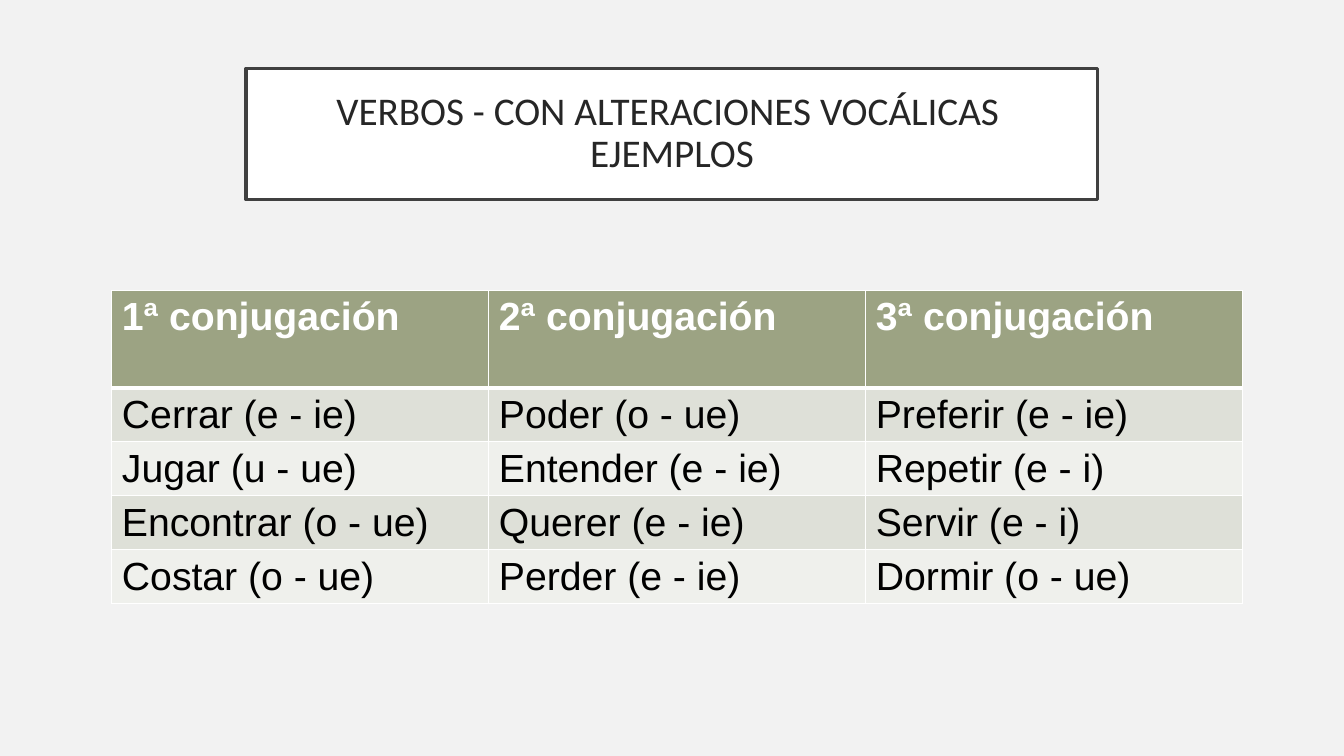
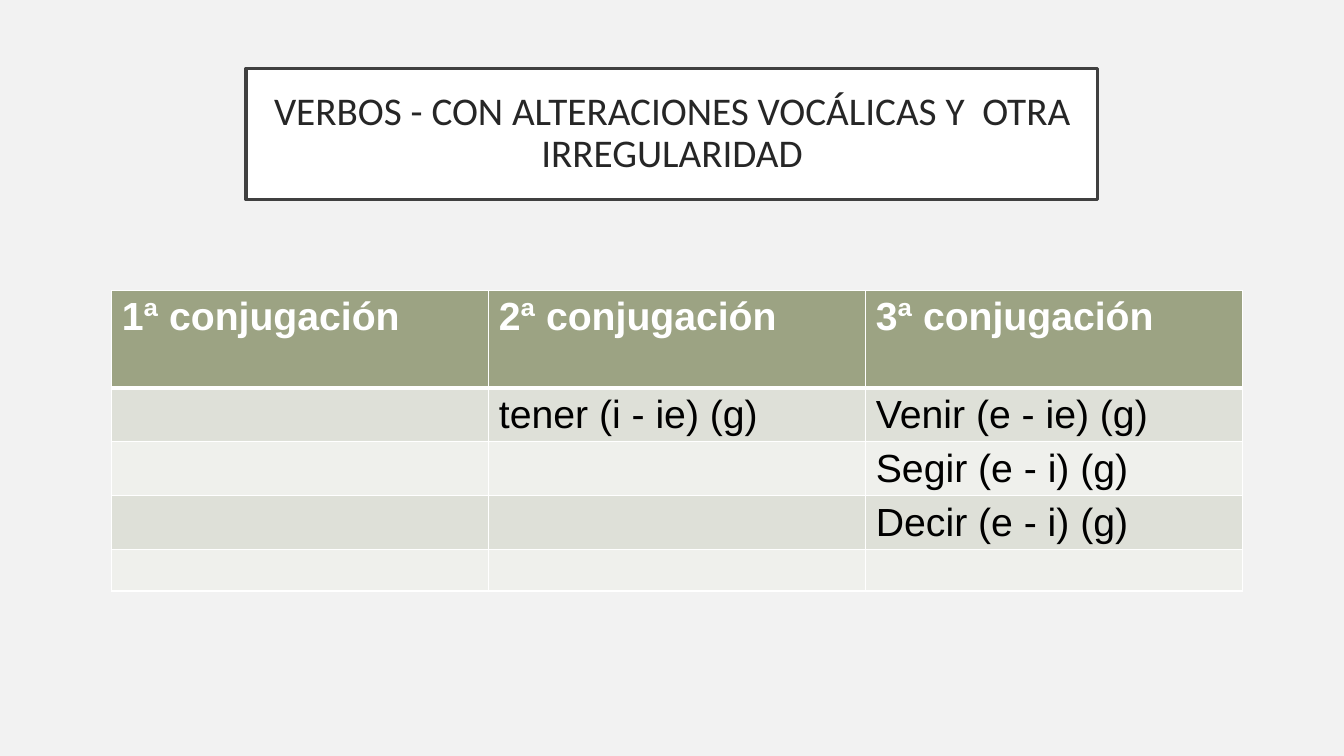
from pptx import Presentation
from pptx import util as u
from pptx.dml.color import RGBColor
from pptx.enum import shapes, text
from pptx.oxml.ns import qn
from lxml import etree

HEADINGS = ("1ª conjugación", "2ª conjugación", "3ª conjugación")
SLIDES = [
    ("VERBOS - CON ALTERACIONES VOCÁLICAS  EJEMPLOS", [
        ("Cerrar (e - ie)", "Poder (o - ue)", "Preferir (e - ie)"),
        ("Jugar (u - ue)", "Entender (e - ie)", "Repetir (e - i)"),
        ("Encontrar (o - ue)", "Querer (e - ie)", "Servir (e - i)"),
        ("Costar (o - ue)", "Perder (e - ie)", "Dormir (o - ue)"),
    ]),
    ("VERBOS - CON ALTERACIONES VOCÁLICAS Y  OTRA IRREGULARIDAD", [
        ("", "tener (i - ie) (g)", "Venir (e - ie) (g)"),
        ("", "", "Segir (e - i) (g)"),
        ("", "", "Decir (e - i) (g)"),
        ("", "", ""),
    ]),
]
COLORS = {
    "background": "F2F2F2", "white": "FFFFFF", "frame": "404040",
    "title": "262626", "black": "000000", "header": "9CA383",
    "odd": "DEE0D8", "even": "EFF0EC",
}
SLIDE_W, SLIDE_H = u.Cm(33.87), u.Cm(19.05)
TITLE_TOP, TITLE_W, TITLE_H = u.Cm(1.73), u.Cm(21.46), u.Cm(3.3)
TABLE_LEFT, TABLE_TOP, COL_W = u.Cm(2.82), u.Cm(7.31), u.Cm(9.5)
HEADER_H, ROW_H, EMPTY_ROW_H = u.Cm(2.46), u.Cm(1.36), u.Cm(1.04)


def rgb(name):
    return RGBColor.from_string(COLORS[name])


def paint(fill, name):
    fill.solid()
    fill.fore_color.rgb = rgb(name)


def write(tf, content, font="Arial", size=28, color="black", bold=False,
          align=text.PP_ALIGN.LEFT, spacing=1.0):
    p = tf.paragraphs[0]
    p.alignment, p.line_spacing = align, spacing
    r = p.add_run()
    r.text = content
    r.font.name, r.font.size, r.font.bold = font, u.Pt(size), bold
    r.font.color.rgb = rgb(color)


def set_borders(cell, **widths):
    """White cell borders; widths in points by side (L, R, T, B), 1 by default."""
    tc_pr = cell._tc.get_or_add_tcPr()
    for side in "LRTB":
        ln = etree.SubElement(tc_pr, qn(f"a:ln{side}"), w=str(u.Pt(widths.get(side, 1))))
        fill = etree.SubElement(ln, qn("a:solidFill"))
        etree.SubElement(fill, qn("a:srgbClr"), val=COLORS["white"])


def add_title(s, title):
    sp = s.shapes.add_shape(shapes.MSO_SHAPE.RECTANGLE, (SLIDE_W - TITLE_W) // 2,
                            TITLE_TOP, TITLE_W, TITLE_H)
    sp.shadow.inherit = False
    paint(sp.fill, "white")
    sp.line.color.rgb = rgb("frame")
    sp.line.width = u.Pt(2.5)
    tf = sp.text_frame
    tf.word_wrap = True
    tf.vertical_anchor = text.MSO_ANCHOR.MIDDLE
    tf.margin_left = tf.margin_right = tf.margin_top = tf.margin_bottom = u.Cm(0.5)
    write(tf, title, font="Calibri", color="title",
          align=text.PP_ALIGN.CENTER, spacing=0.9)


def add_verb_table(s, verbs):
    rows = [HEADINGS, *verbs]
    heights = [HEADER_H] + [ROW_H if any(row) else EMPTY_ROW_H for row in verbs]
    table = s.shapes.add_table(len(rows), len(HEADINGS), TABLE_LEFT, TABLE_TOP,
                               COL_W * len(HEADINGS), sum(heights)).table
    table.first_row = table.horz_banding = False
    for col in table.columns:
        col.width = COL_W
    for i, (row, height) in enumerate(zip(rows, heights)):
        table.rows[i].height = height
        is_header = i == 0
        band = "header" if is_header else "odd" if i % 2 else "even"
        for j, content in enumerate(row):
            cell = table.cell(i, j)
            set_borders(cell, T=3 if i == 1 else 1, B=3 if is_header else 1)
            paint(cell.fill, band)
            if content:
                write(cell.text_frame, content, bold=is_header,
                      color="white" if is_header else "black")


def main():
    prs = Presentation()
    prs.slide_width, prs.slide_height = SLIDE_W, SLIDE_H
    paint(prs.slide_master.background.fill, "background")
    for title, verbs in SLIDES:
        s = prs.slides.add_slide(prs.slide_layouts[6])
        add_title(s, title)
        add_verb_table(s, verbs)
    prs.save("out.pptx")


if __name__ == "__main__":
    main()
